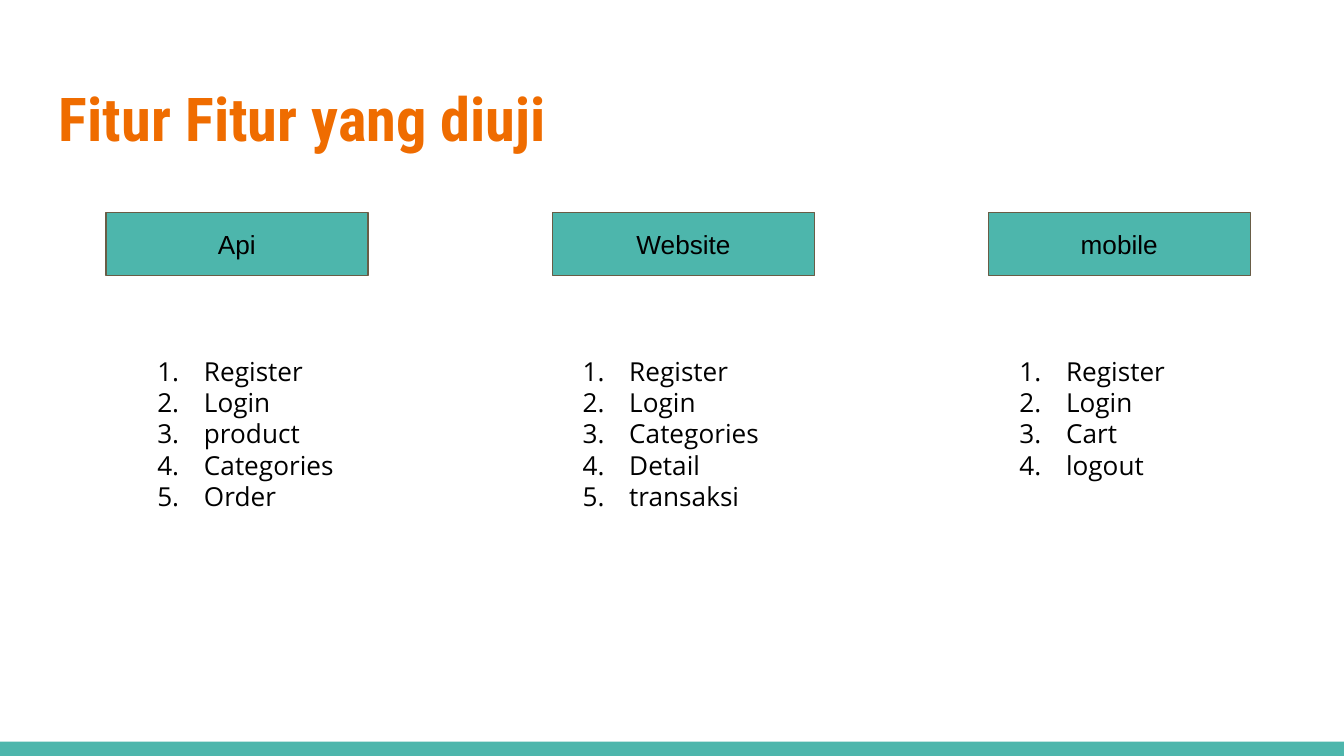
from pptx import Presentation
from pptx.dml.color import RGBColor
from pptx.enum.shapes import MSO_SHAPE as Shape
from pptx.enum.text import MSO_ANCHOR as Anchor, PP_ALIGN as Align
from pptx.oxml.ns import qn
from pptx.util import Pt
from lxml.etree import SubElement

TITLE = "Fitur Fitur yang diuji"
# heading, box left, list left, items
GROUPS = [
    ("Api", 56.7, 66.2, ["Register", "Login", "product", "Categories", "Order"]),
    ("Website", 296, 294, ["Register", "Login", "Categories", "Detail", "transaksi"]),
    ("mobile", 529.4, 528, ["Register", "Login", "Cart", "logout"]),
]
COLORS = {"teal": "4DB6AC", "orange": "EF6C00", "brown": "695D46", "black": "000000"}
WIDE, HIGH = 720, 405
BAR = 7.7


def color(name):
    return RGBColor.from_string(COLORS[name])


def number(para):
    """Make the paragraph an item of a numbered list."""
    props = para._p.get_or_add_pPr()
    props.set("marL", str(Pt(36)))
    props.set("indent", str(-Pt(25)))
    SubElement(props, qn("a:buFont"), typeface="Open Sans")
    SubElement(props, qn("a:buAutoNum"), type="arabicPeriod")


def write(shape, lines, font="Arial", size=14, ink="black", bold=False,
          align=Align.LEFT, anchor=Anchor.TOP, listed=False):
    frame = shape.text_frame
    frame.word_wrap = True
    frame.vertical_anchor = anchor
    frame.margin_left = frame.margin_right = Pt(7.2)
    frame.margin_top = frame.margin_bottom = Pt(7.2)
    frame.text = "\n".join(lines)
    for para in frame.paragraphs:
        para.alignment = align
        if listed:
            number(para)
        face = para.runs[0].font
        face.name, face.size, face.bold = font, Pt(size), bold
        face.color.rgb = color(ink)


def box(slide, left, top, width, height, line=None):
    shape = slide.shapes.add_shape(
        Shape.RECTANGLE, Pt(left), Pt(top), Pt(width), Pt(height))
    shape.shadow.inherit = False
    shape.fill.solid()
    shape.fill.fore_color.rgb = color("teal")
    if line:
        shape.line.color.rgb = color(line)
        shape.line.width = Pt(0.75)
    else:
        shape.line.fill.background()
    return shape


def area(slide, left, top, width, height):
    return slide.shapes.add_textbox(Pt(left), Pt(top), Pt(width), Pt(height))


def main():
    deck = Presentation()
    deck.slide_width, deck.slide_height = Pt(WIDE), Pt(HIGH)
    slide = deck.slides.add_slide(deck.slide_layouts[6])
    box(slide, 0, HIGH - BAR, WIDE, BAR)
    write(area(slide, 24.5, 35.5, 671, 55.2), [TITLE], font="Roboto Condensed",
          size=32.4, ink="orange", bold=True, anchor=Anchor.MIDDLE)
    for head, left, start, items in GROUPS:
        write(box(slide, left, 113.8, 140.4, 33.8, line="brown"), [head],
              align=Align.CENTER, anchor=Anchor.MIDDLE)
        write(area(slide, start, 183, 146, 99.4), items,
              font="Open Sans", listed=True)
    deck.save("out.pptx")


if __name__ == "__main__":
    main()
